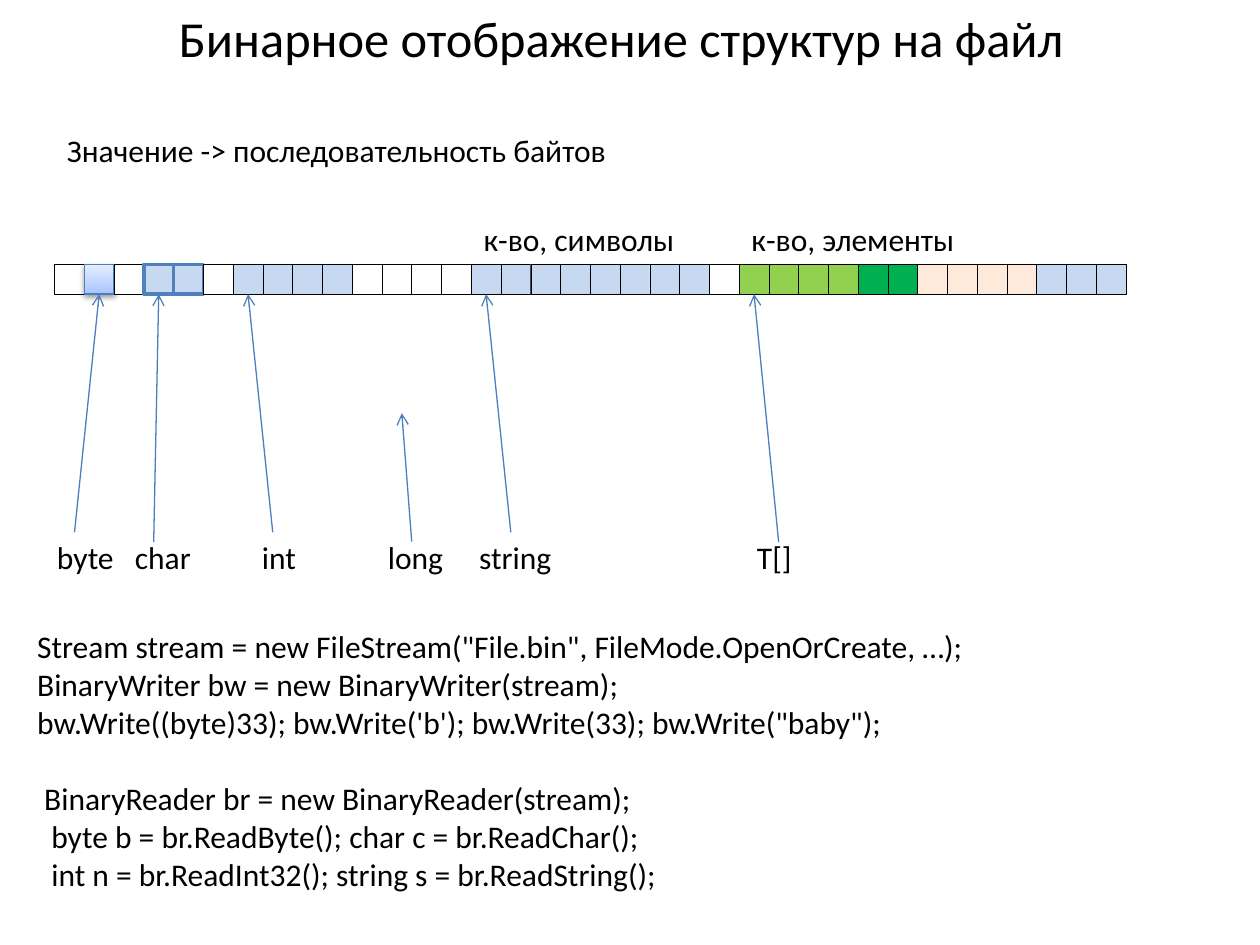
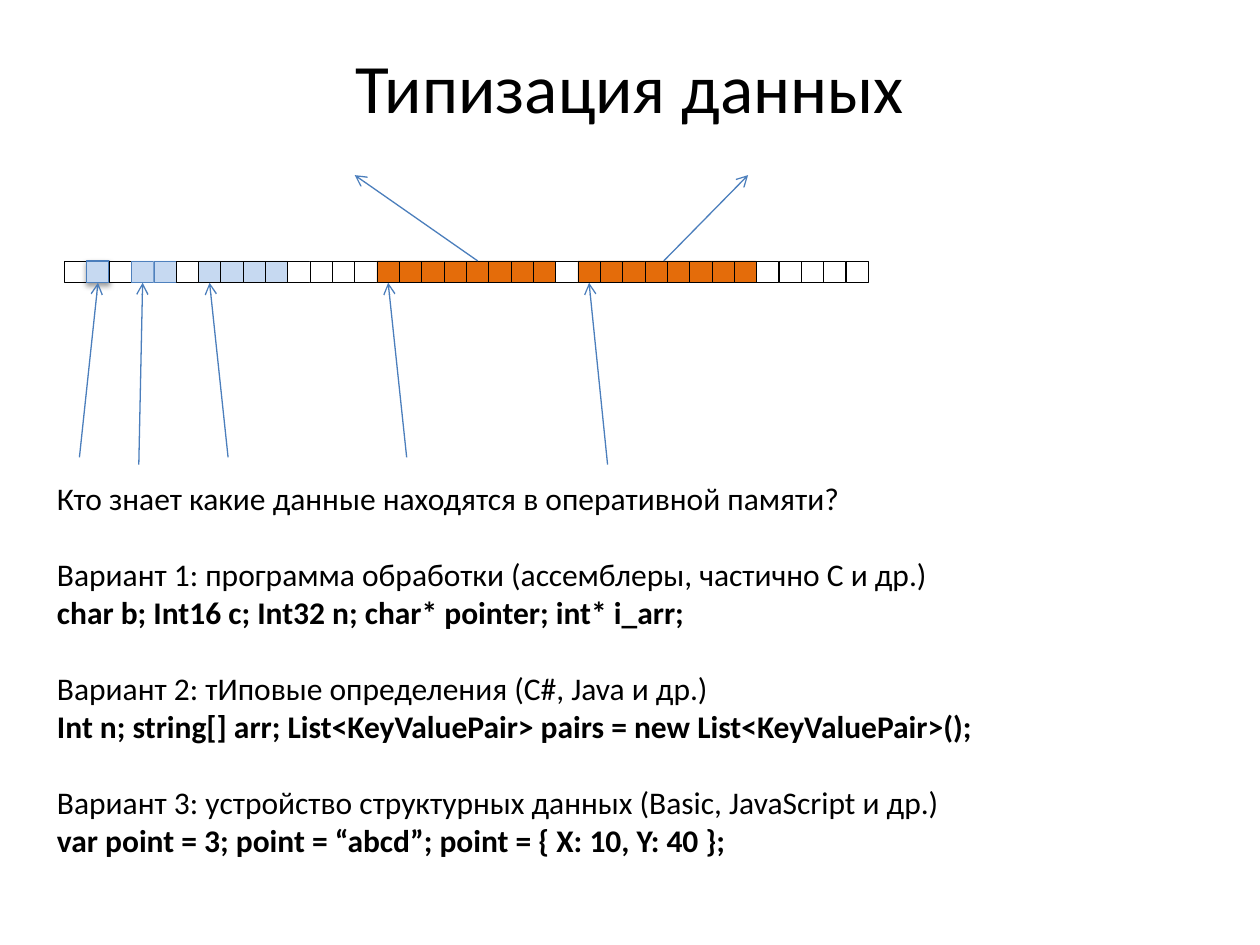
import copy
from collections import namedtuple

import pptx
import pptx.dml.color
import pptx.enum.shapes
import pptx.enum.text
import pptx.oxml.ns
import pptx.util
from lxml import etree

Cm = pptx.util.Cm
Pt = pptx.util.Pt
RGBColor = pptx.dml.color.RGBColor
qn = pptx.oxml.ns.qn

BLACK = RGBColor(0x00, 0x00, 0x00)
WHITE = RGBColor(0xFF, 0xFF, 0xFF)
PALE_BLUE = RGBColor(0xC6, 0xD9, 0xF1)
EDGE_BLUE = RGBColor(0x4F, 0x81, 0xBD)
ARROW_BLUE = RGBColor(0x4B, 0x7E, 0xBC)
LIGHT_GREEN = RGBColor(0x92, 0xD0, 0x50)
GREEN = RGBColor(0x00, 0xB0, 0x50)
PEACH = RGBColor(0xFD, 0xEA, 0xDA)
ORANGE = RGBColor(0xE4, 0x6C, 0x0A)
BYTE_GRADIENT = (
    (0, RGBColor(0xA4, 0xC4, 0xFF)),
    (0.35, RGBColor(0xBF, 0xD4, 0xFF)),
    (1, RGBColor(0xE6, 0xEE, 0xFF)),
)

Line = namedtuple("Line", "text bold gap", defaults=(False, False))
Cells = namedtuple("Cells", "count fill edge weight shadow", defaults=(BLACK, 0.25, False))
Strip = namedtuple("Strip", "left top pitch height")
Pointer = namedtuple("Pointer", "cell shift drop")

# Shift is counted in cell widths, drop in cell heights.
POINTERS = (
    Pointer(1, -0.83, 8),
    Pointer(3, -0.17, 8.33),
    Pointer(6, 0.83, 8),
    Pointer(14, 0.83, 8),
    Pointer(23, 0.83, 8.33),
)


class Lecture:
    font = "Calibri"
    body_size = 18
    line_height = 22

    def __init__(self):
        self.deck = pptx.Presentation()
        self.deck.slide_width = Cm(25.4)
        self.deck.slide_height = Cm(19.05)

    def new_page(self):
        self.page = self.deck.slides.add_slide(self.deck.slide_layouts[6])
        self.canvas = self.page.shapes

    def start_group(self):
        """Send the following shapes into a group."""
        self.canvas = self.page.shapes.add_group_shape().shapes

    def text(self, left, top, width, height, lines, size=body_size, tabs=()):
        box = self.page.shapes.add_textbox(Cm(left), Cm(top), Cm(width), Cm(height))
        frame = box.text_frame
        frame.word_wrap = True
        for number, line in enumerate(lines):
            para = frame.add_paragraph() if number else frame.paragraphs[0]
            para.text = line.text
            if line.gap:
                para.space_before = Pt(self.line_height)
            if tabs:
                tab_list = etree.SubElement(para._p.get_or_add_pPr(), qn("a:tabLst"))
                for position in tabs:
                    etree.SubElement(tab_list, qn("a:tab"), pos=str(Cm(position)), algn="l")
            for span in para.runs:
                span.font.name = self.font
                span.font.size = Pt(size)
                span.font.bold = line.bold
                span.font.color.rgb = BLACK
        return frame

    def title(self, left, top, height, words, size):
        frame = self.text(left, top, 22.86, height, [Line(words)], size)
        frame.vertical_anchor = pptx.enum.text.MSO_ANCHOR.MIDDLE
        frame.paragraphs[0].alignment = pptx.enum.text.PP_ALIGN.CENTER

    def cell(self, strip, index, style):
        box = self.canvas.add_shape(
            pptx.enum.shapes.MSO_SHAPE.RECTANGLE,
            Cm(strip.left + index * strip.pitch), Cm(strip.top),
            Cm(strip.pitch), Cm(strip.height))
        box.shadow.inherit = False
        box.line.color.rgb = style.edge
        box.line.width = Pt(style.weight)
        if style.fill is None:
            box.fill.background()
        elif style.fill is BYTE_GRADIENT:
            self.fill_gradient(box, style.fill)
        else:
            box.fill.solid()
            box.fill.fore_color.rgb = style.fill
        if style.shadow:
            self.drop_shadow(box)

    def fill_gradient(self, box, colours):
        """Fill upwards with three (position, colour) stops."""
        box.fill.gradient()
        box.fill.gradient_angle = 90
        stop_list = box._element.spPr.find(".//" + qn("a:gsLst"))
        stop_list.insert(1, copy.deepcopy(stop_list[0]))
        for stop, (position, colour) in zip(box.fill.gradient_stops, colours):
            stop.position = position
            stop.color.rgb = colour

    def drop_shadow(self, box):
        effects = box._element.spPr.find(qn("a:effectLst"))
        shadow = etree.SubElement(
            effects, qn("a:outerShdw"), blurRad=str(Pt(3.1)), dist=str(Pt(1.6)),
            dir="5400000", rotWithShape="0")
        colour = etree.SubElement(shadow, qn("a:srgbClr"), val=str(BLACK))
        etree.SubElement(colour, qn("a:alpha"), val="38000")

    def memory(self, strip, runs):
        """Draw the runs of equal cells side by side."""
        styles = [run for run in runs for _ in range(run.count)]
        for index, style in enumerate(styles):
            self.cell(strip, index, style)

    def arrow(self, start, end):
        line = self.canvas.add_connector(
            pptx.enum.shapes.MSO_CONNECTOR.STRAIGHT, *map(Cm, start + end))
        line.line.color.rgb = ARROW_BLUE
        line.line.width = Pt(0.75)
        properties = line._element.spPr
        etree.SubElement(properties.find(qn("a:ln")), qn("a:tailEnd"), type="arrow")
        etree.SubElement(properties, qn("a:effectLst"))

    def pointers(self, strip):
        bottom = strip.top + strip.height
        for pointer in POINTERS:
            tip = strip.left + (pointer.cell + 0.5) * strip.pitch
            self.arrow((tip + pointer.shift * strip.pitch,
                        bottom + pointer.drop * strip.height), (tip, bottom))


def typed_values(byte_fill, char_weight):
    """Return the byte, char, int and free cells that open both strips."""
    blank = Cells(1, WHITE)
    return [
        blank,
        Cells(1, byte_fill, ARROW_BLUE, 0.75, True),
        blank,
        Cells(2, PALE_BLUE, EDGE_BLUE, char_weight),
        blank,
        Cells(4, PALE_BLUE),
        Cells(4, WHITE),
    ]


def binary_mapping(lecture):
    lecture.new_page()
    lecture.title(1.1, 0, 1.52, "Бинарное отображение структур на файл", 28.8)
    lecture.text(1.1, 2.52, 22.6, 1.03, [Line("Значение -> последовательность байтов")])

    strip = Strip(1.1, 5.33, 0.6, 0.6)
    lecture.memory(strip, typed_values(BYTE_GRADIENT, 2) + [
        Cells(8, PALE_BLUE),
        Cells(1, WHITE),
        Cells(4, LIGHT_GREEN),
        Cells(2, GREEN),
        Cells(4, PEACH),
        Cells(3, PALE_BLUE),
    ])
    lecture.text(0.9, 10.72, 22.8, 1.03, [Line("byte\tchar\tint\tlong\tstring\tT[]")],
                 tabs=(1.57, 4.13, 6.67, 8.51, 14.11))
    lecture.pointers(strip)
    lecture.arrow((8.3, 10.92), (8.1, 8.33))
    lecture.text(9.5, 4.32, 4.6, 1.03, [Line("к-во, символы")])
    lecture.text(14.9, 4.32, 6, 1.03, [Line("к-во, элементы")])

    lecture.text(0.5, 12.52, 24.4, 5.64, [
        Line('Stream stream = new FileStream("File.bin", FileMode.OpenOrCreate, …);'),
        Line("BinaryWriter bw = new BinaryWriter(stream);"),
        Line("bw.Write((byte)33); bw.Write('b'); bw.Write(33); bw.Write(\"baby\");"),
        Line(" BinaryReader br = new BinaryReader(stream);", gap=True),
        Line("  byte b = br.ReadByte(); char c = br.ReadChar();"),
        Line("  int n = br.ReadInt32(); string s = br.ReadString();"),
    ])


def data_typing(lecture):
    lecture.new_page()
    lecture.title(1.27, 0.76, 1.96, "Типизация данных", 39.6)
    lecture.text(0.9, 9.53, 22.6, 7.95, [
        Line("Кто знает какие данные находятся в оперативной памяти?"),
        Line("Вариант 1: программа обработки (ассемблеры, частично C и др.)", gap=True),
        Line("char b; Int16 c; Int32 n; char* pointer; int* i_arr;", bold=True),
        Line("Вариант 2: тИповые определения (C#, Java и др.)", gap=True),
        Line("Int n; string[] arr; List<KeyValuePair> pairs = new List<KeyValuePair>();", bold=True),
        Line("Вариант 3: устройство структурных данных (Basic, JavaScript и др.)", gap=True),
        Line("var point = 3; point = “abcd”; point = { X: 10, Y: 40 };", bold=True),
    ])

    lecture.start_group()
    strip = Strip(1.3, 5.26, 0.45, 0.44)
    lecture.memory(strip, typed_values(PALE_BLUE, 0.25) + [
        Cells(8, ORANGE),
        Cells(1, WHITE),
        Cells(8, ORANGE),
        Cells(5, None),
    ])
    lecture.pointers(strip)
    lecture.arrow((9.63, strip.top), (7.15, 3.53))
    lecture.arrow((13.38, strip.top), (15.08, 3.53))


def main():
    lecture = Lecture()
    binary_mapping(lecture)
    data_typing(lecture)
    lecture.deck.save("out.pptx")


if __name__ == "__main__":
    main()
